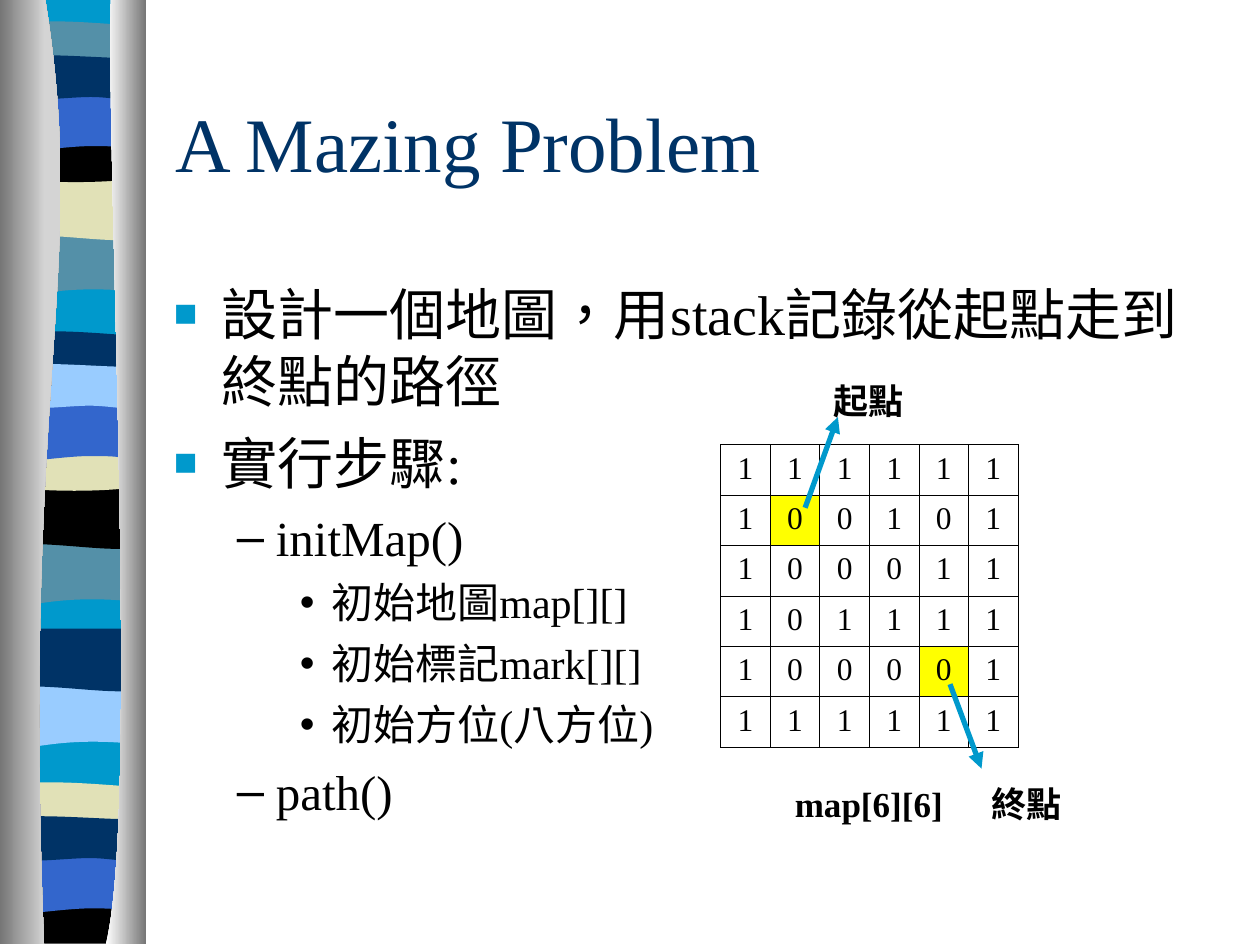
from lxml.etree import SubElement
from pptx import Presentation
from pptx.dml.color import RGBColor
from pptx.enum.lang import MSO_LANGUAGE_ID as Language
from pptx.enum.shapes import MSO_CONNECTOR as Connector
from pptx.enum.text import MSO_ANCHOR as Anchor, MSO_AUTO_SIZE as AutoSize, PP_ALIGN as Align
from pptx.oxml.ns import qn
from pptx.util import Inches, Pt

BLACK = RGBColor(0x00, 0x00, 0x00)
WHITE = RGBColor(0xFF, 0xFF, 0xFF)
SILVER = RGBColor(0xD4, 0xD4, 0xD4)
GREY = RGBColor(0x76, 0x76, 0x76)
NAVY = RGBColor(0x00, 0x33, 0x66)
BLUE = RGBColor(0x33, 0x66, 0xCC)
CYAN = RGBColor(0x00, 0x99, 0xCC)
TEAL = RGBColor(0x54, 0x90, 0xA8)
SKY = RGBColor(0x99, 0xCC, 0xFF)
SAND = RGBColor(0xE1, 0xE1, 0xB7)
YELLOW = RGBColor(0xFF, 0xFF, 0x00)

LATIN = "Times New Roman"
CHINESE = "Noto Sans CJK SC"

PROFILES = {
    "plain": [(1.08, 0), (1.08, 7.48), (0, 7.48), (0, 0)],
    "wave": [(1.08, 0), (1.08, 0.47), (0.33, 0.39, 0.18, 0.55, 0, 0.47), (0, 0)],
    "flag": [(1.08, 0), (1.08, 0.47), (0.9, 0.55, 0.33, 0.42, 0, 0.47), (0, 0)],
    "pool": [(1.08, 0.05), (1.08, 0.29), (0.9, 0.33, 0.18, 0.33, 0, 0.29), (0, 0.05),
             (0.06, 0, 0.23, 0.01, 0.41, 0.01), (0.59, 0.01, 0.94, 0.04, 1.08, 0.05)],
    "bowl": [(1.08, 0), (1.08, 0.32), (0.9, 0.38, 0.18, 0.38, 0, 0.32), (0, 0),
             (0.66, 0.05, 0.85, 0, 1.08, 0)],
    "foot": [(1.08, 0), (1.08, 0.37), (0, 0.37), (0, 0), (0.66, 0.05, 0.85, 0, 1.08, 0)],
    "arch": [(1.08, 0), (1.08, 0.47), (0.91, 0.42, 0.84, 0.42, 0.66, 0.42),
             (0.48, 0.42, 0.16, 0.47, 0, 0.47), (0, 0)],
    "ribbon": [(1.08, 0.05), (1.08, 0.36), (1.01, 0.41, 0.84, 0.36, 0.66, 0.36),
               (0.48, 0.36, 0.11, 0.41, 0, 0.36), (0, 0.05),
               (0.15, 0, 0.73, 0.05, 0.91, 0.05), (1.09, 0.05, 1.04, 0.05, 1.08, 0.05)],
}
BANDS = [
    ("plain", 0.06, -0.01, CYAN),
    ("wave", 0.06, 1.85, TEAL), ("flag", 0.06, 1.41, SAND), ("pool", 0.06, 0.16, TEAL),
    ("bowl", 0.06, 1.08, BLACK), ("arch", 0.06, 0.74, BLUE), ("ribbon", 0.06, 0.41, NAVY),
    ("wave", 0.05, 4.31, TEAL), ("flag", 0.05, 3.86, BLACK), ("pool", 0.05, 2.62, NAVY),
    ("bowl", 0.05, 3.53, SAND), ("arch", 0.05, 3.2, BLUE), ("ribbon", 0.05, 2.86, SKY),
    ("wave", 0.06, 5.44, SKY), ("flag", 0.06, 4.99, NAVY), ("pool", 0.05, 6.2, SAND),
    ("foot", 0.05, 7.12, BLACK), ("arch", 0.05, 6.79, BLUE), ("ribbon", 0.05, 6.45, NAVY),
]
PILLARS = [
    ([(0.36, 0), (0.71, 2.16, 0.17, 2.96, 0.35, 7.49), (0, 7.49), (0, 0)], (GREY, SILVER)),
    ([(0.88, 0), (0.84, 1.25, 1.11, 6.46, 0.84, 7.49), (1.16, 7.49), (1.16, 0)], (WHITE, GREY)),
]
LEVELS = [
    dict(size=32, before=8, margin=0.38, hang=0.38, bullet="■", color=CYAN, percent=70),
    dict(size=28, before=7, margin=0.81, hang=0.31, bullet="–", color=BLACK, percent=100),
    dict(size=24, before=6, margin=1.25, hang=0.25, bullet="•", color=BLACK, percent=100),
]
STEPS = [
    (0, "設計一個地圖，用stack記錄從起點走到終點的路徑"),
    (0, "實行步驟:"),
    (1, "initMap()"),
    (2, "初始地圖map[][]"),
    (2, "初始標記mark[][]"),
    (2, "初始方位(八方位)"),
    (1, "path()"),
]
MAZE = ["111111", "100101", "100011", "101111", "100001", "111111"]
ENDPOINTS = {(1, 1), (4, 4)}
LABELS = [
    ("map[6][6]", 6.21, 6.16, 1.4, LATIN),
    ("起點", 6.52, 2.96, 0.78, CHINESE),
    ("終點", 7.77, 6.16, 0.78, CHINESE),
]
ARROWS = [(6.39, 4.03, 6.65, 3.31), (7.54, 5.43, 7.79, 6.1)]


def apply(target, **values):
    for name, value in values.items():
        setattr(target, name, value)


def format_font(font, size, color=BLACK, name=LATIN, bold=False):
    apply(font, size=Pt(size), name=name, bold=bold)
    font.color.rgb = color


def place(shape, left, top, width, height):
    apply(shape, left=Inches(left), top=Inches(top), width=Inches(width), height=Inches(height))


def add_outline(group, segments, left=0, top=0):
    anchors = [(Inches(left + s[-2]), Inches(top + s[-1])) for s in segments]
    builder = group.shapes.build_freeform(*anchors[0])
    builder.add_line_segments(anchors[1:], close=True)
    shape = builder.convert_to_shape()
    for line, segment in zip(list(shape._element.iter(qn("a:lnTo"))), segments[1:]):
        if len(segment) == 6:
            line.tag = qn("a:cubicBezTo")
            for index in (0, 1):
                x, y = segment[2 * index:2 * index + 2]
                control = SubElement(line, qn("a:pt"), x=str(Inches(left + x) - shape.left),
                                     y=str(Inches(top + y) - shape.top))
                line.insert(index, control)
    shape.shadow.inherit = False
    shape.line.fill.background()
    return shape


def add_band(group, profile, left, top, color):
    shape = add_outline(group, PROFILES[profile], left, top)
    shape.fill.solid()
    shape.fill.fore_color.rgb = color


def add_pillar(group, segments, colors):
    fill = add_outline(group, segments).fill
    fill.gradient()
    fill.gradient_angle = 0
    for stop, color, position in zip(fill.gradient_stops, colors, (0, 1)):
        stop.position = position
        stop.color.rgb = color


def fill_title(title):
    place(title, 1.29, 0.5, 8.5, 1.25)
    title.text = "A Mazing Problem"
    apply(title.text_frame, vertical_anchor=Anchor.MIDDLE, auto_size=AutoSize.NONE)
    paragraph = title.text_frame.paragraphs[0]
    paragraph.alignment = Align.LEFT
    format_font(paragraph.runs[0].font, 44, NAVY)


def set_bullet(paragraph, level):
    properties = paragraph._p.get_or_add_pPr()
    properties.set("marL", str(Inches(level["margin"])))
    properties.set("indent", str(-Inches(level["hang"])))
    color = SubElement(properties, qn("a:buClr"))
    SubElement(color, qn("a:srgbClr"), val=str(level["color"]))
    SubElement(properties, qn("a:buSzPct"), val=str(level["percent"] * 1000))
    SubElement(properties, qn("a:buChar"), char=level["bullet"])


def fill_body(body):
    place(body, 1.28, 2.17, 8.5, 4.5)
    frame = body.text_frame
    frame.text = "\n".join(text for _, text in STEPS)
    frame.auto_size = AutoSize.NONE
    for paragraph, (depth, _) in zip(frame.paragraphs, STEPS):
        level = LEVELS[depth]
        apply(paragraph, level=depth, space_before=Pt(level["before"]))
        set_bullet(paragraph, level)
        font = paragraph.runs[0].font
        format_font(font, level["size"])
        font.language_id = Language.TRADITIONAL_CHINESE


def set_borders(cell):
    properties = cell._tc.get_or_add_tcPr()
    for side in ("lnL", "lnR", "lnT", "lnB"):
        line = SubElement(properties, qn(f"a:{side}"), w=str(Pt(0.45)))
        SubElement(SubElement(line, qn("a:solidFill")), qn("a:srgbClr"), val=str(BLACK))


def add_maze(slide):
    size = len(MAZE)
    frame = slide.shapes.add_table(size, size, Inches(5.72), Inches(3.53), Inches(2.36), Inches(2.4))
    table = frame.table
    apply(table, first_row=False, horz_banding=False)
    for row, digits in enumerate(MAZE):
        for column, digit in enumerate(digits):
            cell = table.cell(row, column)
            cell.text = digit
            set_borders(cell)
            if (row, column) in ENDPOINTS:
                cell.fill.solid()
                cell.fill.fore_color.rgb = YELLOW
            else:
                cell.fill.background()
            paragraph = cell.text_frame.paragraphs[0]
            paragraph.alignment = Align.CENTER
            format_font(paragraph.runs[0].font, 18)


def add_label(slide, text, left, top, width, font_name):
    box = slide.shapes.add_textbox(Inches(left), Inches(top), Inches(width), Inches(0.44))
    box.text_frame.text = text
    apply(box.text_frame, word_wrap=True, auto_size=AutoSize.NONE)
    format_font(box.text_frame.paragraphs[0].runs[0].font, 20, name=font_name, bold=True)


def add_arrow(slide, *ends):
    arrow = slide.shapes.add_connector(Connector.STRAIGHT, *map(Inches, ends))
    arrow.line.width = Pt(3)
    arrow.line.color.rgb = CYAN
    SubElement(arrow.line._get_or_add_ln(), qn("a:tailEnd"), type="triangle")
    SubElement(arrow._element.spPr, qn("a:effectLst"))


def main():
    presentation = Presentation()
    apply(presentation, slide_width=Inches(10), slide_height=Inches(7.5))
    slide = presentation.slides.add_slide(presentation.slide_layouts[1])
    column = slide.shapes.add_group_shape()
    for band in BANDS:
        add_band(column, *band)
    for pillar in PILLARS:
        add_pillar(column, *pillar)
    fill_title(slide.shapes.title)
    fill_body(slide.placeholders[1])
    add_maze(slide)
    for label in LABELS:
        add_label(slide, *label)
    for arrow in ARROWS:
        add_arrow(slide, *arrow)
    presentation.save("out.pptx")


if __name__ == "__main__":
    main()
